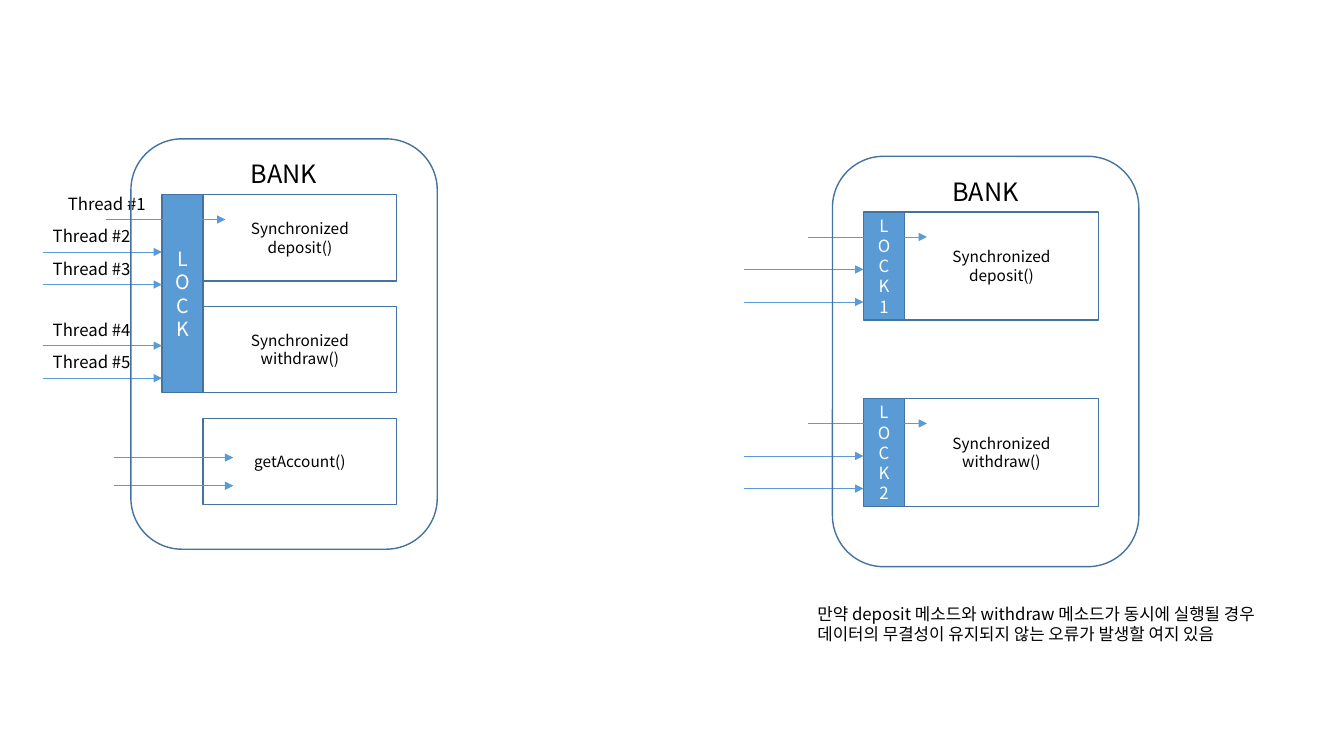
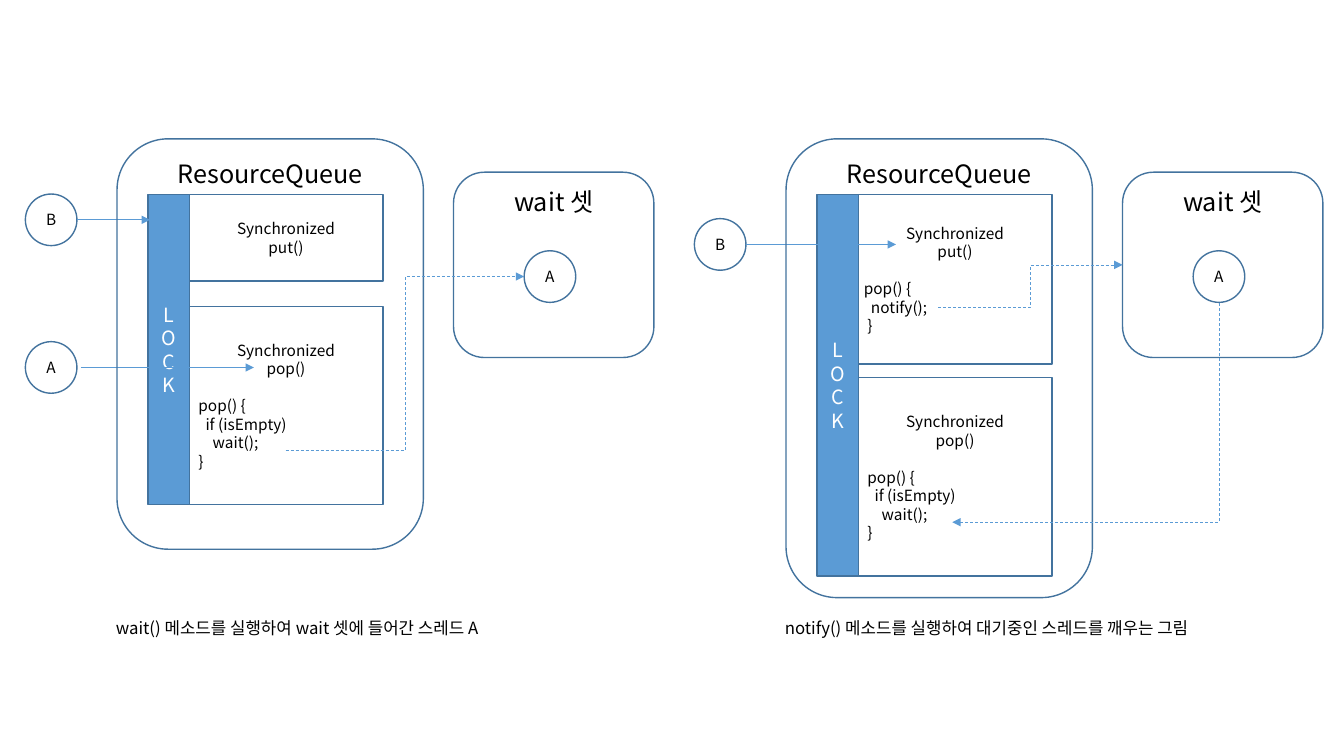
from dataclasses import dataclass

from lxml.etree import SubElement
from pptx import Presentation
from pptx.dml.color import RGBColor
from pptx.enum.dml import MSO_LINE
from pptx.enum.shapes import MSO_CONNECTOR, MSO_SHAPE
from pptx.enum.text import MSO_ANCHOR, PP_ALIGN
from pptx.oxml.ns import qn
from pptx.util import Cm, Pt


@dataclass(frozen=True)
class Theme:
    font: str = "Noto Sans CJK KR"
    ink: RGBColor = RGBColor(0, 0, 0)
    white: RGBColor = RGBColor(255, 255, 255)
    accent: RGBColor = RGBColor(0x5B, 0x9B, 0xD5)
    border: RGBColor = RGBColor(0x43, 0x73, 0x9E)
    title: int = 18
    lock: int = 14
    label: int = 12
    method: int = 11
    leading: float = 1.2


T = Theme()

# Measures in centimetres, relative to the outer box of a class
BOX_W, BOX_H, BOX_Y = 7.72, 10.34, 3.5
LOCK_X, LOCK_Y, LOCK_W = 0.78, 1.4, 1.04
METHOD_X, METHOD_W, METHOD_H, METHOD_PITCH = LOCK_X + LOCK_W, 4.88, 2.18, 2.82
ARROW_LEN, ARROW_Y, ARROW_PITCH, ENTERED = 3.0, 0.63, 0.82, 1.6
CIRCLE, CIRCLE_X = 1.3, -2.31
WAIT_X, WAIT_Y, WAIT_W, WAIT_H = 8.48, 4.34, 5.05, 4.67
WAITER_X, WAITER_Y = WAIT_X + 1.78, WAIT_Y + 1.98
SPACE = 0.09

POP_CODE = [(2, "pop() {"), (4, "if (isEmpty)"), (6, "wait();"), (2, "}")]
NOTIFY_CODE = [(1, "pop() {"), (3, "notify();"), (2, "}")]


def set_all(target, formats):
    for name, value in formats.items():
        setattr(target, name, value)


def write(tf, lines, size, color=T.ink, align=PP_ALIGN.CENTER, code=()):
    """Write lines, then left-aligned code given as (indent, text) pairs."""
    rows = [(None, text) for text in lines] + list(code)
    for i, (indent, text) in enumerate(rows):
        p = tf.paragraphs[0] if i == 0 else tf.add_paragraph()
        set_all(p, {"alignment": align if indent is None else PP_ALIGN.LEFT,
                    "line_spacing": Pt(size * T.leading)})
        if indent is not None:
            p._p.get_or_add_pPr().set("marL", str(Cm(indent * SPACE)))
            if i == len(lines):
                p.space_before = Pt(size * T.leading)
        r = p.add_run()
        set_all(r, {"text": text})
        set_all(r.font, {"name": T.font, "size": Pt(size)})
        r.font.color.rgb = color
        SubElement(r._r.get_or_add_rPr(), qn("a:ea")).set("typeface", T.font)


def add_box(s, kind, x, y, w, h, lines, size=T.method, color=T.ink, fill=None,
            anchor=MSO_ANCHOR.MIDDLE, margin=0.05, code=()):
    sp = s.shapes.add_shape(kind, Cm(x), Cm(y), Cm(w), Cm(h))
    sp.shadow.inherit = False
    if fill is None:
        sp.fill.background()
    else:
        sp.fill.solid()
        sp.fill.fore_color.rgb = fill
    sp.line.color.rgb = T.border
    sp.line.width = Pt(1)
    set_all(sp.text_frame, {"word_wrap": True, "vertical_anchor": anchor,
                            "margin_left": Cm(margin), "margin_right": Cm(margin)})
    write(sp.text_frame, lines, size, color, code=code)
    return sp


def titled_box(s, x, y, w, h, title):
    return add_box(s, MSO_SHAPE.ROUNDED_RECTANGLE, x, y, w, h, [title], T.title,
                   anchor=MSO_ANCHOR.TOP, margin=0.25)


def method_box(s, x, y, h, lines, code=()):
    add_box(s, MSO_SHAPE.RECTANGLE, x, y, METHOD_W, h, lines, code=code)


def lock_bar(s, x, y, h, text, size=T.lock):
    add_box(s, MSO_SHAPE.RECTANGLE, x, y, LOCK_W, h, list(text), size, T.white,
            T.accent, margin=0.25)


def circle(s, x, y, name):
    add_box(s, MSO_SHAPE.OVAL, x, y, CIRCLE, CIRCLE, [name])


def add_label(s, x, y, w, lines):
    tb = s.shapes.add_textbox(Cm(x), Cm(y), Cm(w), Cm(0.76 * len(lines)))
    tb.text_frame.word_wrap = True
    write(tb.text_frame, lines, T.label, align=PP_ALIGN.LEFT)


def add_arrow(s, x1, y1, x2, y2, kind=MSO_CONNECTOR.STRAIGHT, dashed=False,
              end="tailEnd"):
    c = s.shapes.add_connector(kind, Cm(x1), Cm(y1), Cm(x2), Cm(y2))
    c.line.color.rgb = T.accent
    c.line.width = Pt(0.5)
    if dashed:
        c.line.dash_style = MSO_LINE.DASH
    SubElement(c.line._get_or_add_ln(), qn("a:" + end)).set("type", "triangle")
    SubElement(c._element.spPr, qn("a:effectLst"))
    return c


def dashed_elbow(s, x1, y1, x2, y2, end="tailEnd"):
    return add_arrow(s, x1, y1, x2, y2, MSO_CONNECTOR.ELBOW, True, end)


def thread_arrows(s, x, y, count, first_enters=True, first_label=None):
    """Stack arrows that stop at the lock edge x; the first may pass through."""
    for i in range(count):
        enters = first_enters and i == 0
        start = x - ARROW_LEN + (ENTERED if enters else 0)
        row_y = y + ARROW_Y + i * ARROW_PITCH
        add_arrow(s, start, row_y, start + ARROW_LEN, row_y)
        if first_label:
            label_x = x - ARROW_LEN + (0.38 if enters else 0)
            add_label(s, label_x, row_y - 0.78, 2.6, [f"Thread #{first_label + i}"])


def shared_lock_bank(s, x, y):
    top, lock_x = y + LOCK_Y, x + LOCK_X
    methods = (["Synchronized", "deposit()"], ["Synchronized", "withdraw()"],
               ["getAccount()"])
    for i, lines in enumerate(methods):
        method_box(s, x + METHOD_X, top + i * METHOD_PITCH, METHOD_H, lines)
    lock_bar(s, lock_x, top, METHOD_PITCH + METHOD_H, "LOCK")
    thread_arrows(s, lock_x, top, 3, first_label=1)
    thread_arrows(s, lock_x, top + 3.18, 2, first_enters=False, first_label=4)
    for dy in (6.63, 7.34):
        add_arrow(s, lock_x - 1.2, top + dy, lock_x - 1.2 + ARROW_LEN, top + dy)
    titled_box(s, x, y, BOX_W, BOX_H, "BANK")


def split_lock_bank(s, x, y):
    height, pitch = 2.73, 4.7
    for i, name in enumerate(("deposit()", "withdraw()")):
        top = y + LOCK_Y + i * pitch
        method_box(s, x + METHOD_X, top, height, ["Synchronized", name])
        lock_bar(s, x + LOCK_X, top, height, f"LOCK{i + 1}", T.label)
        thread_arrows(s, x + LOCK_X, top, 3)
    titled_box(s, x, y, BOX_W, BOX_H, "BANK")
    add_label(s, x - 0.63, y + 11.15, 13, [
        "만약 deposit 메소드와 withdraw 메소드가 동시에 실행될 경우",
        "데이터의 무결성이 유지되지 않는 오류가 발생할 여지 있음"])


def resource_queue(s, x, y, h, methods, threads, caption):
    """Draw a queue with its wait set, and return the wait set box.

    methods: (dy, height, name, code); threads: (name, centre dy, arrow end dx, gap).
    """
    top = y + LOCK_Y
    for dy, height, name, code in methods:
        method_box(s, x + METHOD_X, top + dy, height, ["Synchronized", name], code)
    last_dy, last_h = methods[-1][:2]
    lock_bar(s, x + LOCK_X, top, last_dy + last_h, "LOCK")
    for name, dy, end, gap in threads:
        circle(s, x + CIRCLE_X, top + dy - CIRCLE / 2, name)
        add_arrow(s, x + CIRCLE_X + CIRCLE + gap, top + dy, x + end, top + dy)
    titled_box(s, x, y, BOX_W, h, "ResourceQueue")
    wait_set = titled_box(s, x + WAIT_X, WAIT_Y, WAIT_W, WAIT_H, "wait 셋")
    circle(s, x + WAITER_X, WAITER_Y, "A")
    add_label(s, x - 0.28, 15.44, 12.5, [caption])
    return wait_set


def waiting_queue(s, x, y):
    resource_queue(
        s, x, y, BOX_H,
        [(0, METHOD_H, "put()", ()), (METHOD_PITCH, 5, "pop()", POP_CODE)],
        [("B", 0.64, 0.83, 0), ("A", 4.36, 3.45, 0.1)],
        "wait() 메소드를 실행하여 wait 셋에 들어간 스레드 A")
    dashed_elbow(s, x + 4.25, y + 7.85, x + WAITER_X, WAITER_Y + CIRCLE / 2)


def notifying_queue(s, x, y):
    wait_set = resource_queue(
        s, x, y, 11.56,
        [(0, 4.27, "put()", NOTIFY_CODE), (4.62, 5, "pop()", POP_CODE)],
        [("B", 1.26, 2.77, 0)],
        "notify() 메소드를 실행하여 대기중인 스레드를 깨우는 그림")
    wake = dashed_elbow(s, x + 4.19, y + 9.66, x + WAITER_X + CIRCLE / 2,
                        WAITER_Y + CIRCLE, "headEnd")
    wake._element.spPr.find(qn("a:prstGeom")).set("prst", "bentConnector2")
    notify = dashed_elbow(s, x + 3.84, y + 4.25, x + WAIT_X, WAIT_Y + WAIT_H / 2)
    notify.end_connect(wait_set, 1)


def main():
    prs = Presentation()
    set_all(prs, {"slide_width": Cm(33.87), "slide_height": Cm(19.05)})
    bank, queue = (prs.slides.add_slide(prs.slide_layouts[6]) for _ in range(2))
    shared_lock_bank(bank, 3.3, BOX_Y)
    split_lock_bank(bank, 20.98, 3.94)
    waiting_queue(queue, 2.95, BOX_Y)
    notifying_queue(queue, 19.81, BOX_Y)
    prs.save("out.pptx")


if __name__ == "__main__":
    main()
